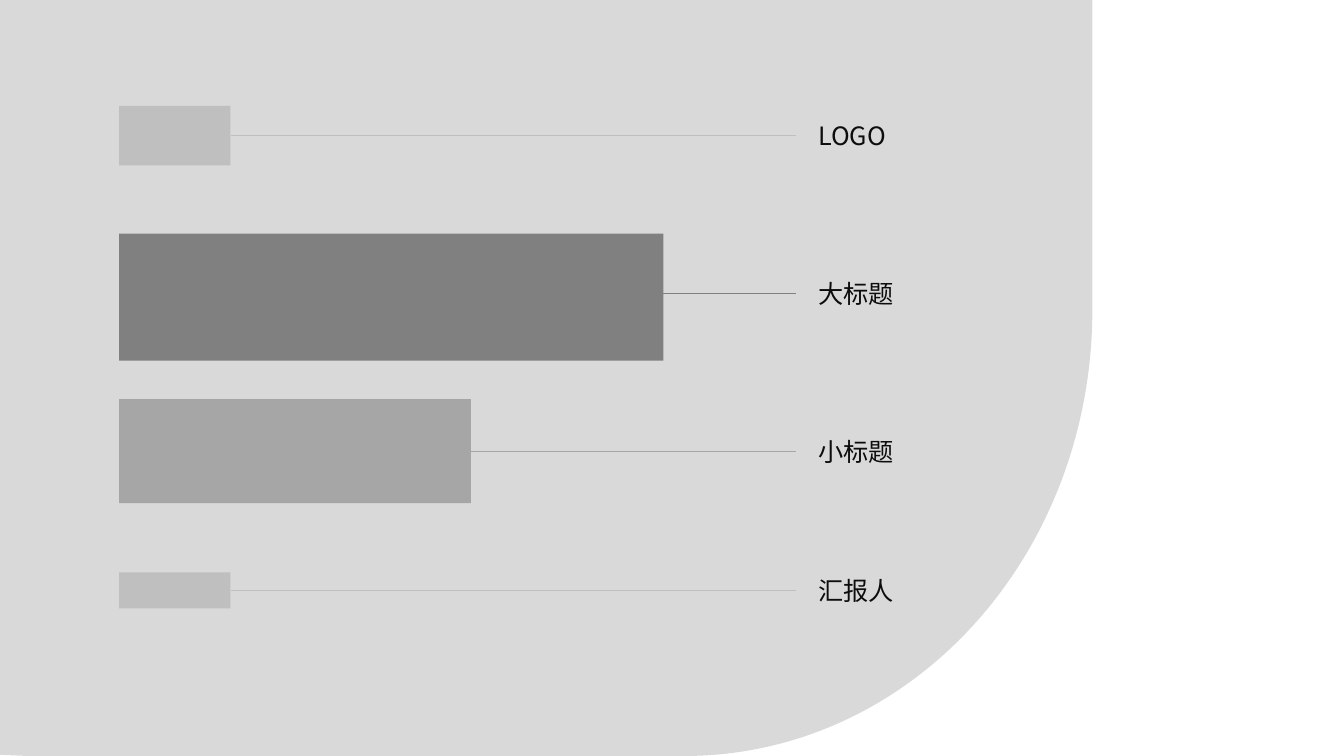
from collections import namedtuple
from math import cos, pi, sin

from lxml import etree
from pptx import Presentation
from pptx.dml.color import RGBColor
from pptx.enum.shapes import MSO_CONNECTOR, MSO_SHAPE
from pptx.enum.text import MSO_ANCHOR, MSO_AUTO_SIZE
from pptx.oxml.ns import qn
from pptx.util import Cm, Pt

RECTANGLE = MSO_SHAPE.RECTANGLE
STRAIGHT = MSO_CONNECTOR.STRAIGHT
MIDDLE = MSO_ANCHOR.MIDDLE
FIT_SHAPE = MSO_AUTO_SIZE.SHAPE_TO_FIT_TEXT
RIGHT_SIDE = 3

PANEL_GREY = RGBColor(0xD9, 0xD9, 0xD9)
LIGHT_GREY = RGBColor(0xBF, 0xBF, 0xBF)
MID_GREY = RGBColor(0xA6, 0xA6, 0xA6)
DARK_GREY = RGBColor(0x80, 0x80, 0x80)
INK = RGBColor(0x0D, 0x0D, 0x0D)
FONT = "Noto Sans CJK SC"
LABEL_FORMAT = {"size": Pt(18), "name": FONT}
LABEL_HEIGHT = 1.02
CURVE_STEPS = 60

# Lengths in cm; middle is the height of the leader line, drop the bar's offset below it.
Box = namedtuple("Box", "left top width height")
Row = namedtuple("Row", "label middle bar_width bar_height drop label_width color")

PANEL_BOX = Box(0, 0, 27.53, 19.05)
LEGEND_BOX = Box(3, 2.67, 19.81, 12.67)
LEADER_END = 17.07
LABEL_LEFT = 17.37
ROWS = [
    Row("LOGO", 0.75, 2.81, 1.5, 0, 2.24, LIGHT_GREY),
    Row("大标题", 4.72, 13.72, 3.2, 0.1, 2.44, DARK_GREY),
    Row("小标题", 8.7, 8.87, 2.62, 0, 2.44, MID_GREY),
    Row("汇报人", 12.21, 2.81, 0.91, 0, 2.44, LIGHT_GREY),
]


def paint(shape, color):
    shape.shadow.inherit = False
    shape.fill.solid()
    shape.fill.fore_color.rgb = color
    shape.line.fill.background()


def draw_panel(slide, box):
    """Draw the backdrop with its large rounded lower right corner."""
    radius_x, radius_y = 10.26, 11.23
    right, bottom = box.left + box.width, box.top + box.height
    center_x, center_y = right - radius_x, bottom - radius_y
    angles = [pi / 2 * step / CURVE_STEPS for step in range(CURVE_STEPS + 1)]
    outline = [(right, box.top)]
    outline += [(center_x + radius_x * cos(angle), center_y + radius_y * sin(angle))
                for angle in angles]
    outline += [(box.left + 0.69, bottom), (box.left, bottom - 0.03)]
    builder = slide.shapes.build_freeform(Cm(box.left), Cm(box.top))
    builder.add_line_segments([(Cm(x), Cm(y)) for x, y in outline])
    paint(builder.convert_to_shape(), PANEL_GREY)


def draw_label(slide, box, text):
    frame = slide.shapes.add_textbox(*map(Cm, box)).text_frame
    frame_format = {"word_wrap": False, "auto_size": FIT_SHAPE, "vertical_anchor": MIDDLE}
    for name, value in frame_format.items():
        setattr(frame, name, value)
    span = frame.paragraphs[0].add_run()
    span.text = text
    for name, value in LABEL_FORMAT.items():
        setattr(span.font, name, value)
    span.font.color.rgb = INK
    etree.SubElement(span.font._element, qn("a:ea"), typeface=FONT)


def draw_row(slide, box, row):
    """Draw a bar, the leader line from its right side and the label."""
    middle = box.top + row.middle
    bar_top = middle + row.drop - row.bar_height / 2
    bar_box = Box(box.left, bar_top, row.bar_width, row.bar_height)
    bar = slide.shapes.add_shape(RECTANGLE, *map(Cm, bar_box))
    paint(bar, row.color)

    leader = slide.shapes.add_connector(
        STRAIGHT, Cm(box.left + row.bar_width), Cm(middle),
        Cm(box.left + LEADER_END), Cm(middle))
    leader.line.color.rgb = row.color
    leader.line.width = Pt(0.5)
    etree.SubElement(leader._element.spPr, qn("a:effectLst"))
    if not row.drop:
        leader.begin_connect(bar, RIGHT_SIDE)
        leader.end_y = leader.begin_y

    label_box = Box(box.left + LABEL_LEFT, middle - LABEL_HEIGHT / 2,
                    row.label_width, LABEL_HEIGHT)
    draw_label(slide, label_box, row.label)


def main():
    deck = Presentation()
    deck.slide_width, deck.slide_height = Cm(33.87), Cm(19.05)
    slide = deck.slides.add_slide(deck.slide_layouts[6])
    draw_panel(slide, PANEL_BOX)
    for row in ROWS:
        draw_row(slide, LEGEND_BOX, row)
    deck.save("out.pptx")


if __name__ == "__main__":
    main()
